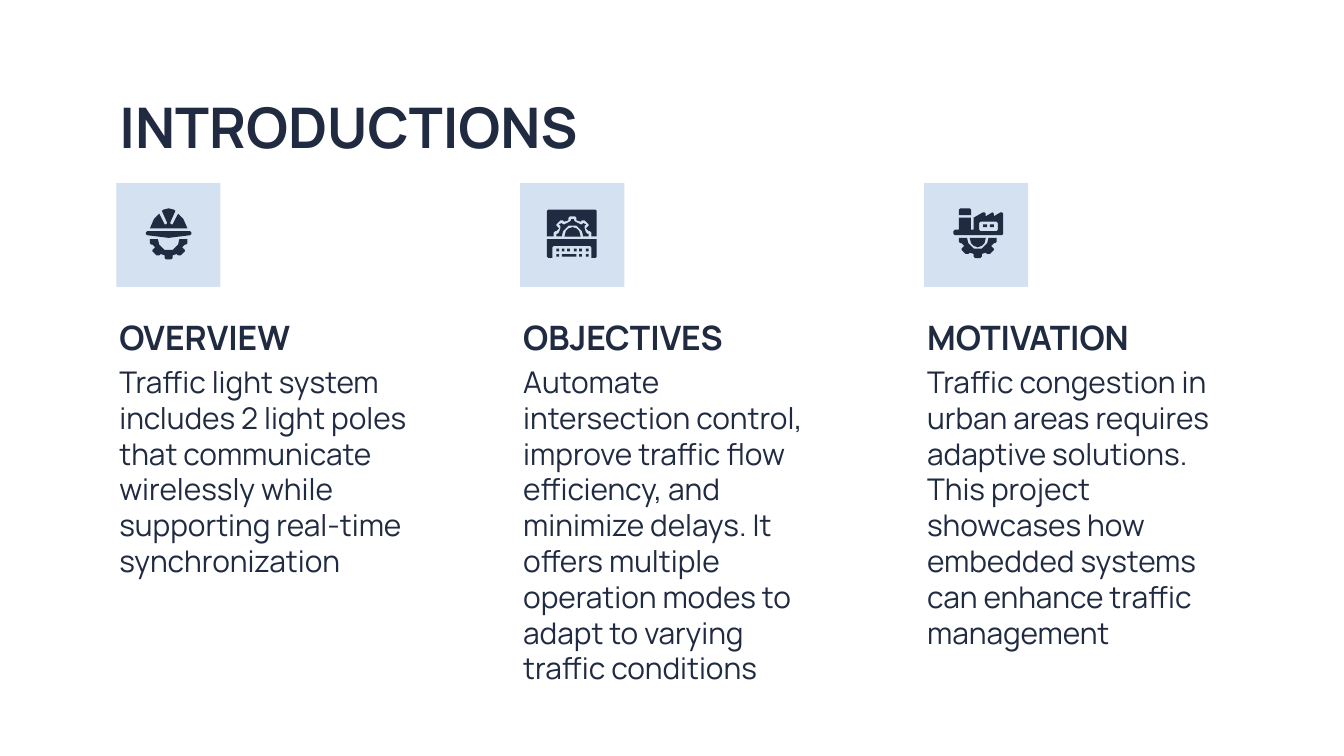
from pptx import Presentation
from pptx.dml.color import RGBColor
from pptx.enum.shapes import MSO_SHAPE as Kind
from pptx.enum.text import MSO_ANCHOR as Anchor
from pptx.util import Pt

PX = 4572
ZOOM = 2
INK, TILE = "202A41", "D3E1F1"
SIDE, PAD, MID = 155, 20, 39

TOOTH = [(-14, 0), (-14, 3), (-13, 4), (-12, 4), (-10, 6), (-12, 8),
         (-12, 9), (-9, 12), (-7, 12), (-6, 11), (-3, 12), (-3, 14), (-2, 15)]
BAND = [(-12, 0), (-12, 2), (-11, 2), (-10, 3), (-9, 6), (-9, 8), (-10, 9),
        (-8, 10), (-7, 9), (-6, 9), (-2, 11), (-1, 12), (-1, 13)]
BORE = [(-8, 0), (-7, 4), (-5, 6), (-3, 8), (0, 8)]
DOME = [(-6, 0), (-5, 4), (-3, 6), (0, 7)]
BRIM = [(-16, 36), (-17, 37), (-17, 38), (-16, 39), (-8, 40), (0, 41)]
CAP = [(-14, 34), (-11, 27), (-7, 23), (-3, 31), (-2, 31), (-1, 30),
       (-5, 21), (-4, 20), (0, 19)]
SCREEN = [(57, 40), (57, 21), (56, 20), (21, 20), (20, 21), (20, 40)]
BASE = [(20, 42), (20, 55), (21, 56), (24, 56), (24, 48), (25, 47), (52, 47),
        (53, 48), (53, 56), (56, 56), (57, 55), (57, 42)]
STACK = [(26, 24), (26, 20), (27, 19), (34, 19), (35, 20), (35, 24)]
PLANT = [(51, 22), (46, 25), (46, 23), (45, 22), (44, 22), (37, 26), (37, 35),
         (35, 35), (35, 26), (26, 26), (26, 35), (23, 35), (22, 36), (22, 38),
         (23, 39), (58, 39), (59, 38), (59, 23), (58, 22), (57, 22), (52, 25),
         (52, 23)]
PANE = [(42, 29), (54, 29), (55, 30), (55, 35), (54, 36), (42, 36), (41, 35),
        (41, 30)]

BODY = {"size": Pt(16), "bold": False, "name": "Manrope"}
HEAD = {**BODY, "size": Pt(18), "bold": True}
TITLE = {**HEAD, "size": Pt(30)}


def color(code):
    return RGBColor.from_string(code)


def paint(shape, code):
    shape.shadow.inherit = False
    shape.fill.solid()
    shape.fill.fore_color.rgb = color(code)
    shape.line.fill.background()


def block(slide, x, y, w, h, code=INK):
    box = [n * PX for n in (x, y, w, h)]
    paint(slide.shapes.add_shape(Kind.RECTANGLE, *box), code)


def key(slide, x, y, a, b, w, h):
    block(slide, x + a * ZOOM, y + b * ZOOM, w * ZOOM, h * ZOOM)


def shift(half, x, y=0, flip=1):
    whole = half + [(-a, b) for a, b in reversed(half)]
    return [(x + a, y + flip * b) for a, b in whole]


def form(slide, x, y, *rings):
    rings = [[(x + a * ZOOM, y + b * ZOOM) for a, b in ring] for ring in rings]
    pen = slide.shapes.build_freeform(*rings[0][0], scale=PX)
    pen.add_line_segments(rings[0][1:])
    for ring in rings[1:]:
        pen.move_to(*ring[0])
        pen.add_line_segments(ring[1:])
    paint(pen.convert_to_shape(), INK)


def gear(slide, x, y, mid, top):
    form(slide, x, y, shift(TOOTH, mid, top) + shift(BORE, mid, top)[::-1])


def helmet(slide, x, y):
    form(slide, x, y, shift(BRIM, MID))
    gear(slide, x, y, MID, 42)
    form(slide, x, y, shift(CAP, MID))


def laptop(slide, x, y):
    form(slide, x, y, SCREEN + shift(TOOTH, MID, 40, -1))
    band = shift(BAND, MID, 40, -1)
    form(slide, x, y, band + shift(BORE, MID, 40, -1)[::-1])
    form(slide, x, y, shift(DOME, MID, 40, -1))
    form(slide, x, y, BASE)
    for top, keys in ((49, (27, 31, 35, 40, 44, 49)), (53, (27, 44, 49))):
        for left in keys:
            key(slide, x, y, left, top, 2, 2)
    key(slide, x, y, 31, 53, 11, 2)


def plant(slide, x, y):
    form(slide, x, y, shift(DOME, MID + 1, 41))
    gear(slide, x, y, MID + 1, 41)
    form(slide, x, y, STACK)
    form(slide, x, y, PLANT, PANE)
    for left in (44, 49):
        key(slide, x, y, left, 31, 3, 2)


def label(slide, x, y, w, h, text, style, anchor=Anchor.TOP):
    box = slide.shapes.add_textbox(*[n * PX for n in (x, y, w, h)])
    frame = box.text_frame
    frame.word_wrap = True
    frame.vertical_anchor = anchor
    for side in ("left", "top", "right", "bottom"):
        setattr(frame, f"margin_{side}", PAD * PX)
    para = frame.paragraphs[0]
    run = para.add_run()
    run.text = text
    for name, value in style.items():
        setattr(run.font, name, value)
    run.font.color.rgb = color(INK)


def column(slide, x, y, w, icon, head, body):
    block(slide, x + 15, y, SIDE, SIDE, TILE)
    icon(slide, x + 15, y)
    label(slide, x, y + 124, w, 155, head, HEAD, Anchor.BOTTOM)
    label(slide, x, y + 249, w, 430, body, BODY)


def main():
    deck = Presentation()
    deck.slide_width, deck.slide_height = 2000 * PX, 1125 * PX
    slide = deck.slides.add_slide(deck.slide_layouts[6])
    label(slide, 158, 118, 1686, 126, "INTRODUCTIONS", TITLE)
    parts = [
        (helmet, "OVERVIEW",
         "Traffic light system includes 2 light poles that communicate "
         "wirelessly while supporting real-time synchronization"),
        (laptop, "OBJECTIVES",
         "Automate intersection control, improve traffic flow efficiency, "
         "and minimize delays. It offers multiple operation modes to adapt "
         "to varying traffic conditions"),
        (plant, "MOTIVATION",
         "Traffic congestion in urban areas requires adaptive solutions. "
         "This project showcases how embedded systems can enhance traffic "
         "management"),
    ]
    for i, part in enumerate(parts):
        column(slide, 158 + 601 * i, 272, 486, *part)
    deck.save("out.pptx")


if __name__ == "__main__":
    main()
